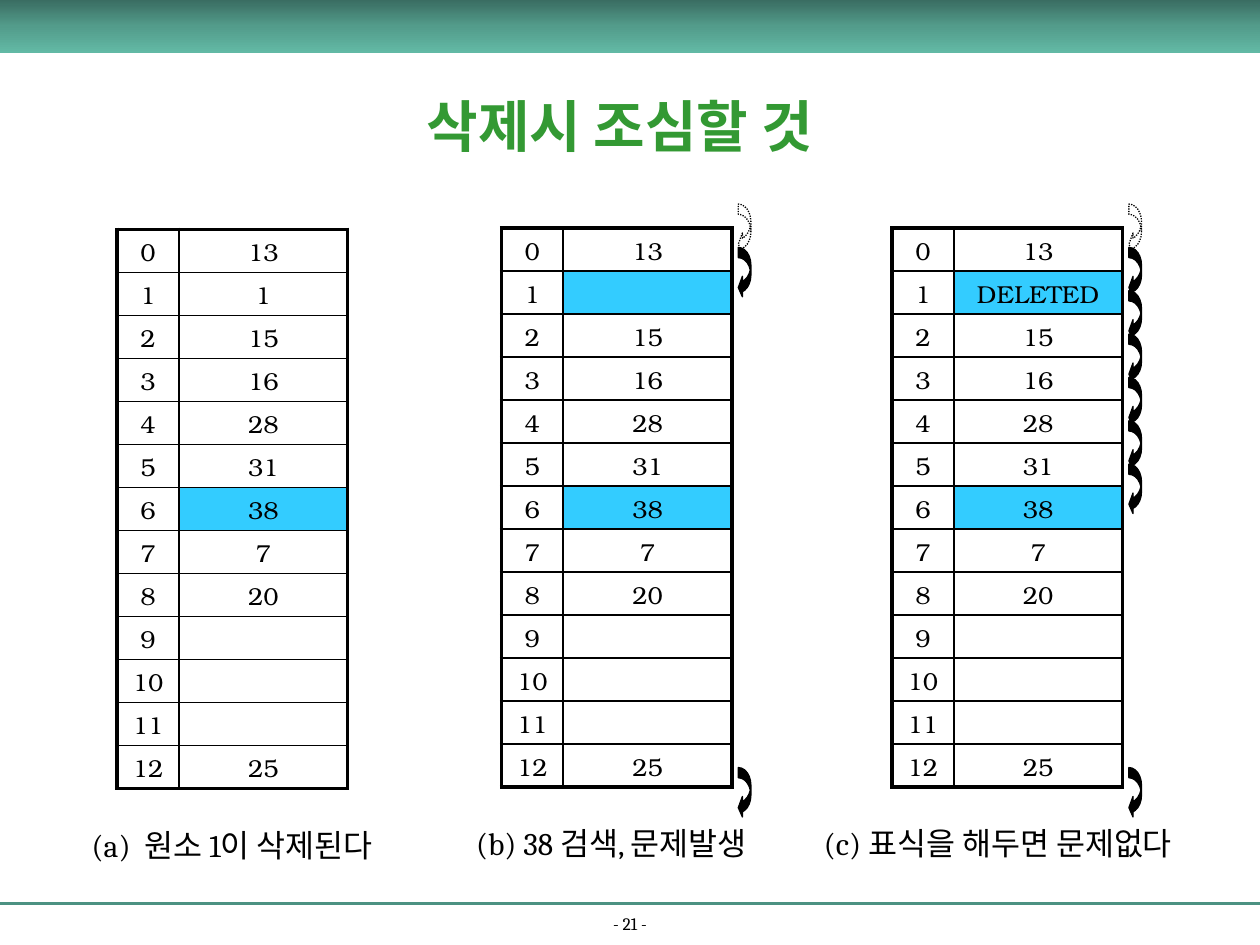
from copy import deepcopy
from pptx import Presentation
from pptx.dml.color import RGBColor
from pptx.enum.dml import MSO_LINE
from pptx.enum.shapes import MSO_CONNECTOR, MSO_SHAPE
from pptx.enum.text import MSO_ANCHOR, MSO_AUTO_SIZE, PP_ALIGN
from pptx.oxml.ns import qn
from pptx.util import Inches, Pt
from lxml import etree

BLACK = RGBColor(0x00, 0x00, 0x00)
GREEN = RGBColor(0x33, 0x99, 0x33)
SKY = RGBColor(0x33, 0xCC, 0xFF)
TEAL = RGBColor(0x4C, 0x92, 0x82)
SHADES = [
    (0, RGBColor(0x3A, 0x6D, 0x62)),
    (0.5, RGBColor(0x53, 0x9C, 0x8B)),
    (1, RGBColor(0x62, 0xB9, 0xA5)),
]
CENTER = PP_ALIGN.CENTER
LEFT = PP_ALIGN.LEFT
MIDDLE = MSO_ANCHOR.MIDDLE
BOTTOM = MSO_ANCHOR.BOTTOM
TOP = MSO_ANCHOR.TOP
GROW = MSO_AUTO_SIZE.SHAPE_TO_FIT_TEXT
FIXED = MSO_AUTO_SIZE.NONE
DOTS = MSO_LINE.ROUND_DOT
STRAIGHT = MSO_CONNECTOR.STRAIGHT
RECT = MSO_SHAPE.RECTANGLE
CURVE = MSO_SHAPE.CURVED_LEFT_ARROW

TITLE = {"name": "Cambria", "size": Pt(32), "bold": True}
LABEL = {"name": "Cambria", "size": Pt(18)}
PAGE = {"name": "Cambria", "size": Pt(10)}
ENTRY = {"name": "TeX Gyre Bonum", "size": Pt(14)}
PLAIN = {"first_row": False, "horz_banding": False}
TIGHT = {"margin_top": 0, "margin_bottom": 0}

VALUES = ["13", "1", "15", "16", "28", "31", "38", "7", "20", "", "", "", "25"]
COLS = [0.49, 1.34]
HIGH = 4.44
STEP = 0.344

PANELS = [
    {"box": (0.93, 1.82), "first": "1", "marks": [6], "hops": [],
     "label": "(a)  원소 1이 삭제된다", "place": (0.63, 6.51, 2.5, 0.4)},
    {"box": (3.98, 1.81), "first": "", "marks": [1, 6], "hops": [0, 1, 13],
     "label": "(b) 38 검색, 문제발생", "place": (3.68, 6.49, 2.4, 0.4)},
    {"box": (7.08, 1.81), "first": "DELETED", "marks": [1, 6],
     "hops": [*range(7), 13],
     "label": "(c) 표식을 해두면 문제없다", "place": (6.44, 6.49, 3.17, 0.4)},
]


def style(item, form):
    for key, value in form.items():
        setattr(item, key, value)


def write(para, text, form, color=BLACK, align=CENTER):
    para.alignment = align
    run = para.add_run()
    run.text = text
    style(run.font, form)
    run.font.color.rgb = color


def add_text(slide, box, text, form, color=BLACK, align=CENTER,
             anchor=TOP, fit=FIXED):
    frame = slide.shapes.add_textbox(*map(Inches, box)).text_frame
    style(frame, {"word_wrap": True, "auto_size": fit, "vertical_anchor": anchor})
    write(frame.paragraphs[0], text, form, color, align)


def add_frame(slide):
    rule = slide.shapes.add_connector(
        STRAIGHT, 0, Inches(7.17), Inches(10), Inches(7.17))
    rule.line.color.rgb = TEAL
    rule.line.width = Pt(1.5)
    etree.SubElement(rule._element.spPr, qn("a:effectLst"))
    add_text(slide, (0, 7.24, 10, 0.22), "- 21 -", PAGE, anchor=BOTTOM)

    bar = slide.shapes.add_shape(RECT, 0, 0, Inches(10), Inches(0.42))
    bar.shadow.inherit = False
    bar.line.fill.background()
    bar.fill.gradient()
    bar.fill.gradient_angle = 270
    stops = next(bar._element.spPr.iter(qn("a:gsLst")))
    stops.insert(1, deepcopy(stops[0]))
    for stop, (place, color) in zip(bar.fill.gradient_stops, SHADES):
        stop.position = place
        stop.color.rgb = color


def add_edges(cell, row, col):
    props = cell._tc.get_or_add_tcPr()
    thick = {"L": col == 0, "R": col == 1, "T": row == 0,
             "B": row == len(VALUES) - 1}
    for side, outer in thick.items():
        edge = etree.SubElement(props, qn(f"a:ln{side}"))
        edge.set("w", str(Pt(2.25 if outer else 1)))
        fill = etree.SubElement(edge, qn("a:solidFill"))
        etree.SubElement(fill, qn("a:srgbClr")).set("val", str(BLACK))


def add_grid(slide, left, top, values, marks):
    count = len(values)
    grid = slide.shapes.add_table(
        count, 2, Inches(left), Inches(top), Inches(sum(COLS)), Inches(HIGH)).table
    style(grid, PLAIN)
    for col, width in zip(grid.columns, COLS):
        col.width = Inches(width)
    for row, value in enumerate(values):
        grid.rows[row].height = Inches(HIGH / count)
        for col, text in enumerate((str(row), value)):
            cell = grid.cell(row, col)
            add_edges(cell, row, col)
            if col == 1 and row in marks:
                cell.fill.solid()
                cell.fill.fore_color.rgb = SKY
            else:
                cell.fill.background()
            if text:
                cell.margin_bottom = 0
                para = cell.text_frame.paragraphs[0]
                para.space_before = Pt(2.8)
                write(para, text, ENTRY)
            else:
                style(cell, TIGHT)


def add_hop(slide, left, top, ghost):
    hop = slide.shapes.add_shape(
        CURVE, Inches(left), Inches(top), Inches(0.1), Inches(0.4))
    hop.shadow.inherit = False
    for index, value in enumerate((0.81, 1.63, 0.33)):
        hop.adjustments[index] = value
    hop.line.color.rgb = BLACK
    hop.line.width = Pt(0.75)
    if ghost:
        hop.fill.background()
        hop.line.dash_style = DOTS
    else:
        hop.fill.solid()
        hop.fill.fore_color.rgb = BLACK


def add_panel(slide, box, first, marks, hops, label, place):
    left, top = box
    values = [VALUES[0], first, *VALUES[2:]]
    add_grid(slide, left, top, values, marks)
    for hop in reversed(hops):
        add_hop(slide, left + 1.88, top - 0.19 + STEP * hop, hop == 0)
    add_text(slide, place, label, LABEL, align=LEFT, fit=GROW)


def main():
    deck = Presentation()
    style(deck, {"slide_width": Inches(10), "slide_height": Inches(7.5)})
    slide = deck.slides.add_slide(deck.slide_layouts[6])
    add_frame(slide)
    for panel in PANELS:
        add_panel(slide, **panel)
    add_text(slide, (0.67, 0.37, 8.5, 1.25), "삭제시 조심할 것", TITLE,
             GREEN, anchor=MIDDLE)
    deck.save("out.pptx")


if __name__ == "__main__":
    main()
